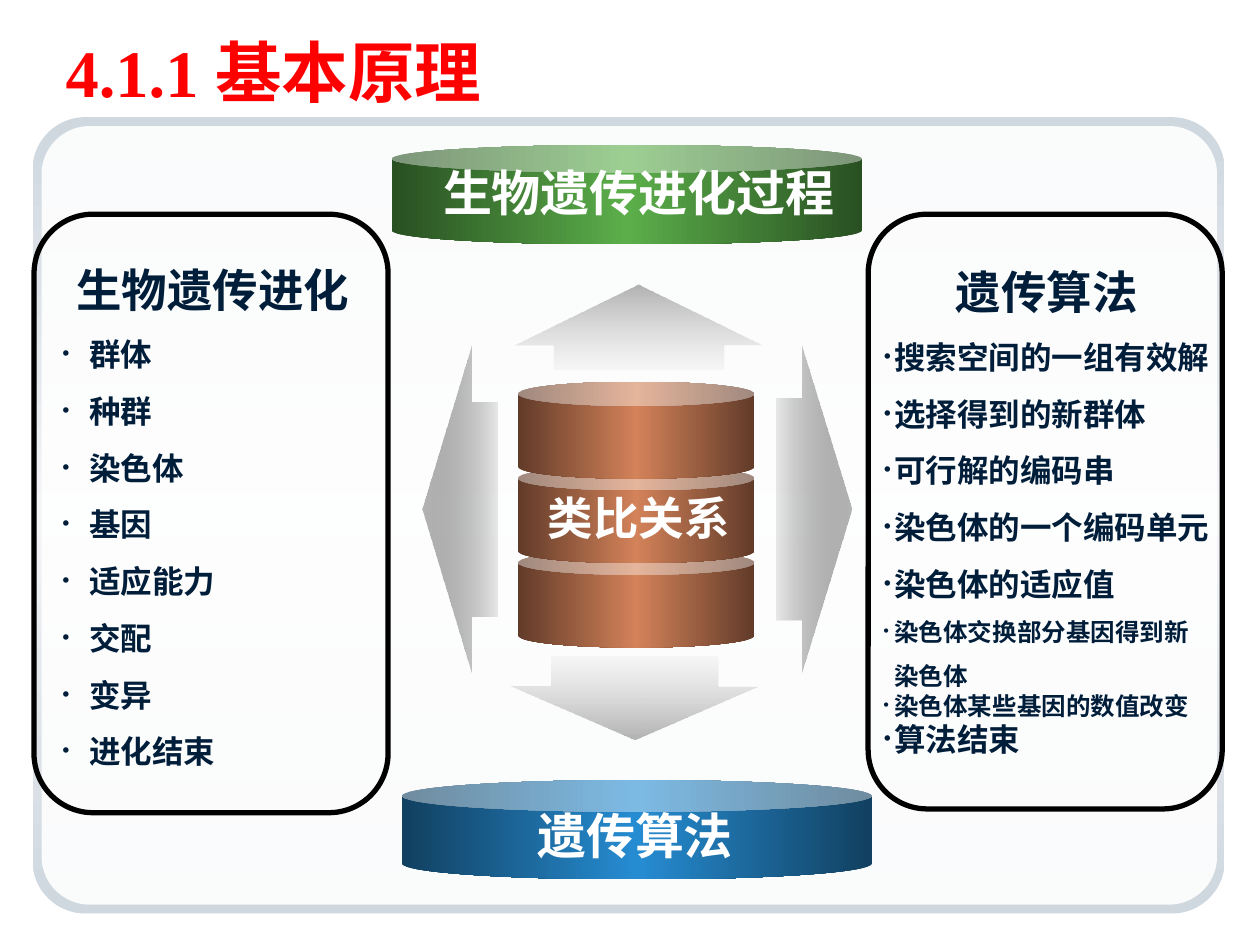
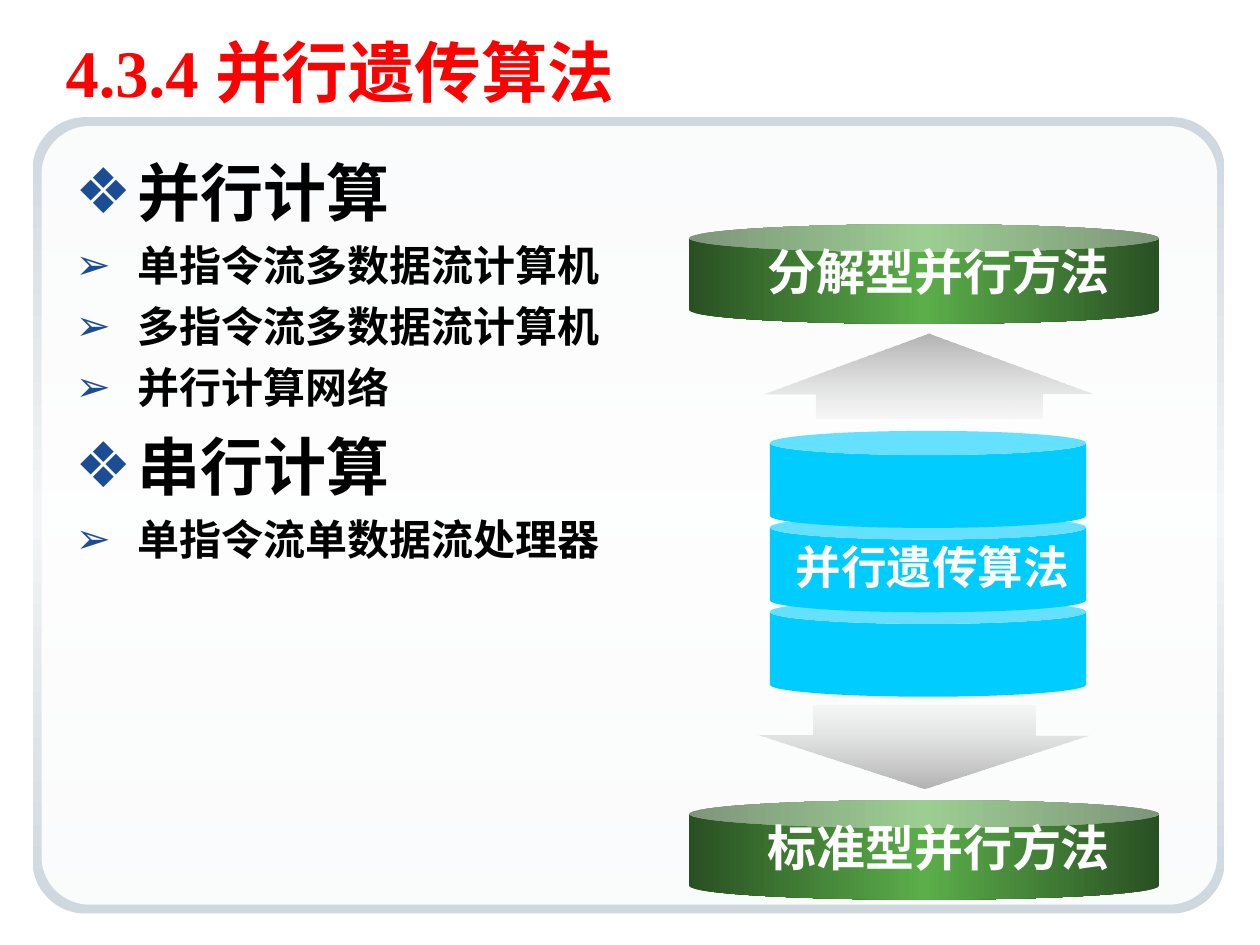
import pptx
import pptx.util
import pptx.dml.color
import pptx.enum.lang
import pptx.enum.shapes
import pptx.enum.text
import pptx.oxml
import pptx.oxml.ns

Inches = pptx.util.Inches
Pt = pptx.util.Pt
RGBColor = pptx.dml.color.RGBColor
SHAPE = pptx.enum.shapes.MSO_SHAPE
ALIGN = pptx.enum.text.PP_ALIGN
ANCHOR = pptx.enum.text.MSO_ANCHOR
qn = pptx.oxml.ns.qn

# Colours
RED = RGBColor(0xFF, 0x00, 0x00)
BLACK = RGBColor(0x00, 0x00, 0x00)
WHITE = RGBColor(0xFF, 0xFF, 0xFF)
NAVY = RGBColor(0x00, 0x1D, 0x3A)
BULLET_BLUE = RGBColor(0x1C, 0x4D, 0x94)
CYAN = RGBColor(0x00, 0xCC, 0xFF)
FRAME_EDGE = RGBColor(0xCF, 0xD7, 0xDF)
FRAME_MID = RGBColor(0xF3, 0xF5, 0xF7)
GREEN_DARK, GREEN = RGBColor(0x29, 0x50, 0x22), RGBColor(0x5B, 0xAE, 0x4A)
BLUE_DARK, BLUE = RGBColor(0x11, 0x40, 0x60), RGBColor(0x26, 0x8C, 0xD2)
BROWN_DARK, BROWN = RGBColor(0x61, 0x3B, 0x29), RGBColor(0xD3, 0x82, 0x59)
ARROW_GREY = RGBColor(0xB2, 0xB2, 0xB2)
ARROW_LIGHT = RGBColor(0xCD, 0xCD, 0xCD)
ARROW_SHADE = RGBColor(0x52, 0x52, 0x52)

# Fonts
SERIF, SANS, LIST_FONT = "Times New Roman", "Arial", "DejaVu Sans"
CJK_FONT = "DejaVu Sans"


def gradient(*stops, angle):
    """Fill made of (colour, opacity in percent) stops at equal steps."""
    step = 100000 // (len(stops) - 1)
    gs = "".join(
        f'<a:gs pos="{i * step}"><a:srgbClr val="{color}">'
        f'<a:alpha val="{opacity * 1000}"/></a:srgbClr></a:gs>'
        for i, (color, opacity) in enumerate(stops))
    return (f'<a:gradFill {pptx.oxml.ns.nsdecls("a")} rotWithShape="1">'
            f'<a:gsLst>{gs}</a:gsLst>'
            f'<a:lin ang="{angle * 60000}" scaled="0"/></a:gradFill>')


def mirrored(edge, middle, angle=180):
    return gradient((edge, 100), (middle, 100), (edge, 100), angle=angle)


GREEN_FILL = mirrored(GREEN_DARK, GREEN)
BLUE_FILL = mirrored(BLUE_DARK, BLUE)
BROWN_FILL = mirrored(BROWN_DARK, BROWN)
FADE_DOWN = gradient((ARROW_LIGHT, 12), (ARROW_GREY, 100), angle=90)
FADE_UP = gradient((ARROW_GREY, 100), (ARROW_LIGHT, 12), angle=90)
FADE_LEFT = gradient((ARROW_SHADE, 12), (ARROW_GREY, 100), angle=180)
FADE_RIGHT = gradient((ARROW_GREY, 100), (ARROW_SHADE, 12), angle=180)


def add_text(tf, text, size=18, color=NAVY, font=LIST_FONT, align=ALIGN.LEFT,
             line=1.0, before=0, hang=0, bullet=None, bullet_color=NAVY,
             bullet_size=100):
    """Add one paragraph, filling the empty first one if there is one."""
    p = tf.paragraphs[0]
    if p.runs:
        p = tf.add_paragraph()
    p.alignment, p.line_spacing, p.space_before = align, line, Pt(before)
    pPr = p._p.get_or_add_pPr()
    pPr.set("marL", str(Inches(hang)))
    pPr.set("indent", str(-Inches(hang)))
    marks = ["<a:buNone {}/>"]
    if bullet:
        marks = [f'<a:buClr {{}}><a:srgbClr val="{bullet_color}"/></a:buClr>',
                 f'<a:buSzPct {{}} val="{bullet_size * 1000}"/>',
                 f'<a:buFont {{}} typeface="{CJK_FONT}"/>',
                 f'<a:buChar {{}} char="{bullet}"/>']
    for mark in marks:
        pPr.append(pptx.oxml.parse_xml(
            mark.format(pptx.oxml.ns.nsdecls("a"))))
    r = p.add_run()
    r.text = text
    r.font.size, r.font.bold, r.font.name = Pt(size), True, font
    r.font.color.rgb = color
    r.font.language_id = pptx.enum.lang.MSO_LANGUAGE_ID.SIMPLIFIED_CHINESE
    ea = pptx.oxml.parse_xml(
        f'<a:ea {pptx.oxml.ns.nsdecls("a")} typeface="{CJK_FONT}"/>')
    r.font._element.find(qn("a:latin")).addnext(ea)


class Deck:
    def __init__(self):
        self.prs = pptx.Presentation()
        self.prs.slide_width, self.prs.slide_height = Inches(10), Inches(7.5)
        self.s = None

    def slide(self, layout, title):
        self.s = self.prs.slides.add_slide(self.prs.slide_layouts[layout])
        tf = self.place(self.s.shapes.title, 0.42, 0.25, 9.33, 0.62)
        tf.vertical_anchor = ANCHOR.MIDDLE
        add_text(tf, title, size=38, color=RED, font=SERIF)

    def place(self, sp, x, y, w, h):
        sp.left, sp.top, sp.width, sp.height = map(Inches, (x, y, w, h))
        sp.text_frame.auto_size = pptx.enum.text.MSO_AUTO_SIZE.NONE
        sp.text_frame.word_wrap = True
        return sp.text_frame

    def shape(self, kind, x, y, w, h, adj, fill=None):
        sp = self.s.shapes.add_shape(kind, *map(Inches, (x, y, w, h)))
        sp.shadow.inherit = False
        sp.line.fill.background()
        for i, value in enumerate(adj):
            sp.adjustments[i] = value
        if fill is None:
            sp.fill.background()
        elif isinstance(fill, RGBColor):
            sp.fill.solid()
            sp.fill.fore_color.rgb = fill
        else:
            sp.fill.gradient()
            old = sp.element.spPr.find(qn("a:gradFill"))
            old.getparent().replace(old, pptx.oxml.parse_xml(fill))
        return sp

    def frame(self):
        """Put the rounded frame on the master, behind every slide."""
        veil = gradient((WHITE, 90), (WHITE, 90), angle=90)
        edge = mirrored(FRAME_EDGE, FRAME_MID, angle=90)
        parts = [
            self.shape(SHAPE.ROUNDED_RECTANGLE, 0.26, 0.93, 9.46, 6.32, [0.066], edge),
            self.shape(SHAPE.ROUNDED_RECTANGLE, 0.33, 1, 9.33, 6.18, [0.062], veil)]
        for i, sp in enumerate(parts):
            self.prs.slide_master.shapes.element.insert(2 + i, sp.element)

    def text_box(self, x, y, w, h, wrap=True):
        sp = self.s.shapes.add_textbox(*map(Inches, (x, y, w, h)))
        sp.text_frame.word_wrap = wrap
        return sp.text_frame

    def label(self, center, y, text, size):
        tf = self.text_box(center - 1.8, y, 3.6, 0.57, wrap=False)
        add_text(tf, text, size=size, color=WHITE, font=SANS, align=ALIGN.CENTER)

    def band(self, x, y, fill, text, center, adj=0.279, drop=0.09):
        self.shape(SHAPE.CAN, x, y, 3.73, 0.79, [adj], fill)
        self.label(center, y + drop, text, 28)

    def stack(self, x, y, w, fill, text, center, arrow_w, up_x, down_x):
        """Three drums with an arrow above and one below."""
        self.shape(SHAPE.DOWN_ARROW, down_x, y + 2.18, arrow_w, 0.66,
                   [0.671, 0.641], FADE_DOWN)
        for level in (2, 1, 0):
            self.shape(SHAPE.CAN, x, y + 0.67 * level, w, 0.77, [0.25], fill)
        self.shape(SHAPE.UP_ARROW, up_x, y - 0.77, arrow_w, 0.67,
                   [0.684, 0.708], FADE_UP)
        self.label(center, y + 0.81, text, 26)

    def card(self, x, h, text_x, text_y, text_w, heading, items, hang):
        """Outlined card; items are (text, size, line spacing)."""
        sp = self.shape(SHAPE.ROUNDED_RECTANGLE, x, 1.7, 2.81, h, [0.167])
        sp.line.color.rgb, sp.line.width = BLACK, Pt(3)
        tf = self.text_box(text_x, text_y, text_w, 4.2)
        add_text(tf, heading, size=26, align=ALIGN.CENTER)
        for text, size, line in items:
            add_text(tf, text, size=size, line=line, hang=hang,
                     bullet="•", bullet_size=60)

    def body(self, groups):
        tf = self.place(self.s.placeholders[1], 0.5, 1.17, 9, 5.92)
        style = dict(color=BLACK, font=SERIF, hang=0.49, bullet_color=BULLET_BLUE)
        for heading, items in groups:
            add_text(tf, heading, size=36, before=9, bullet="❖", **style)
            for item in items:
                add_text(tf, item, size=24, before=6, bullet="➢", **style)


def main():
    deck = Deck()

    # Slide 1: biology and algorithm side by side
    deck.slide(5, "4.1.1 基本原理")
    deck.frame()
    biology = ["群体", "种群", "染色体", "基因", "适应能力", "交配", "变异", "进化结束"]
    deck.card(0.27, 4.75, 0.38, 2.03, 2.62, "生物遗传进化",
              [(text, 18, 1.5) for text in biology], hang=0.23)
    algorithm = ["搜索空间的一组有效解", "选择得到的新群体", "可行解的编码串",
                 "染色体的一个编码单元", "染色体的适应值"]
    deck.card(6.89, 4.72, 6.9, 2.05, 2.82, "遗传算法",
              [(text, 18, 1.5) for text in algorithm]
              + [("染色体交换部分基因得到新染色体", 14, 1.5),
                 ("染色体某些基因的数值改变", 14, 1.0),
                 ("算法结束", 18, 1.0)], hang=0.1)
    deck.band(3.11, 1.15, GREEN_FILL, "生物遗传进化过程", 5.07)
    deck.band(3.19, 6.19, BLUE_FILL, "遗传算法", 5.04, adj=0.32, drop=0.15)
    deck.shape(SHAPE.LEFT_ARROW, 3.35, 2.74, 0.6, 2.6, [0.656, 0.652], FADE_LEFT)
    deck.shape(SHAPE.RIGHT_ARROW, 6.16, 2.74, 0.6, 2.6, [0.677, 0.662], FADE_RIGHT)
    deck.stack(4.11, 3.03, 1.88, BROWN_FILL, "类比关系", 5.07,
               arrow_w=1.97, up_x=4.08, down_x=4.05)

    # Slide 2: parallel genetic algorithms
    deck.slide(1, "4.3.4 并行遗传算法")
    deck.body([
        ("并行计算", ["单指令流多数据流计算机", "多指令流多数据流计算机", "并行计算网络"]),
        ("串行计算", ["单指令流单数据流处理器"])])
    deck.stack(6.11, 3.42, 2.51, CYAN, "并行遗传算法", 7.4,
               arrow_w=2.63, up_x=6.06, down_x=6.02)
    deck.band(5.47, 6.35, GREEN_FILL, "标准型并行方法", 7.45)
    deck.band(5.47, 1.78, GREEN_FILL, "分解型并行方法", 7.45)

    deck.prs.save("out.pptx")


if __name__ == "__main__":
    main()
